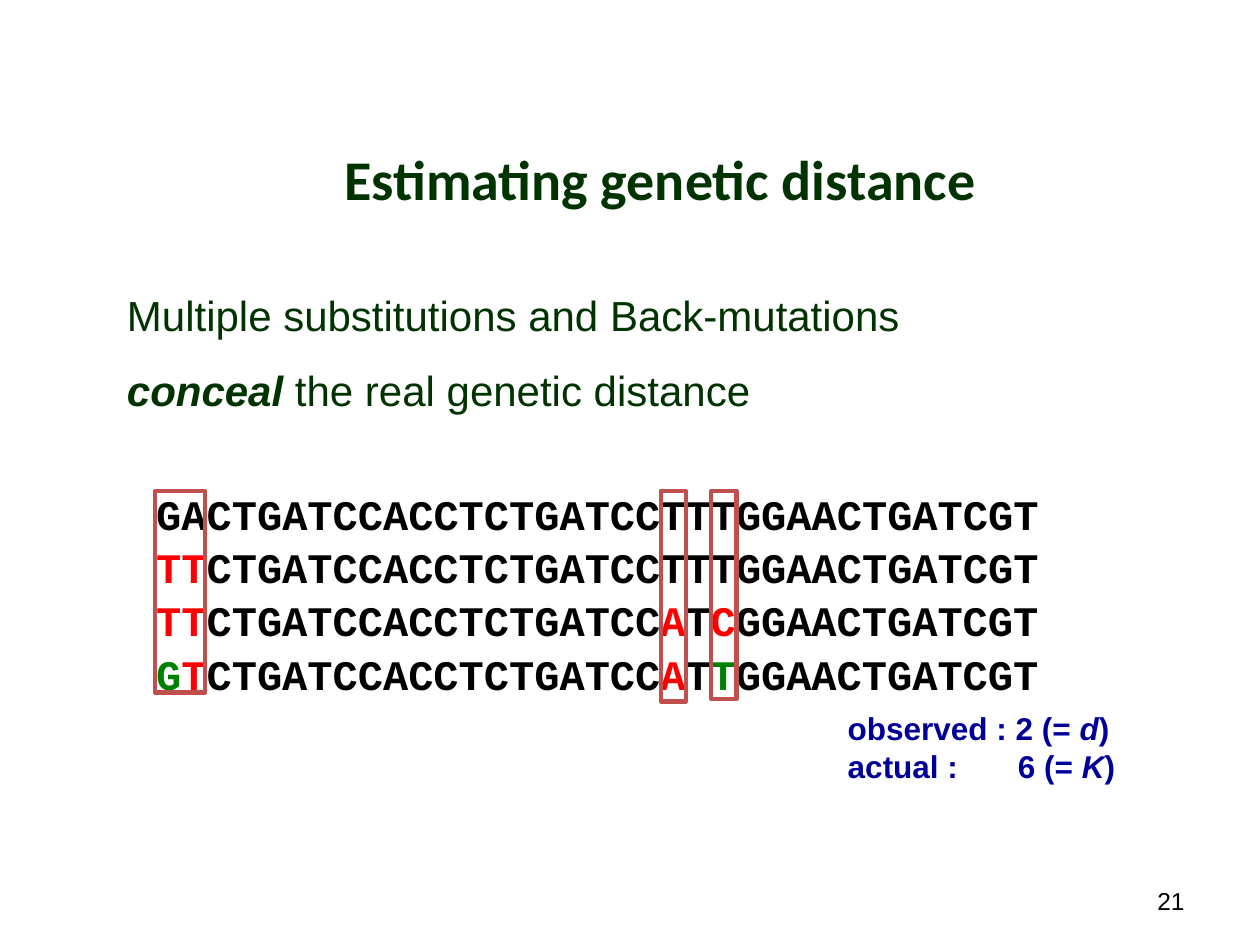
from itertools import groupby

from lxml import etree
from pptx import Presentation
from pptx import util as u
from pptx.dml.color import RGBColor
from pptx.enum import shapes, text
from pptx.oxml import ns

GREEN, NAVY, BLACK = "003300", "000099", "000000"
MUTATED, REVERTED, FRAME = "FF0000", "008000", "C0504D"

TITLE = "Estimating genetic distance"
STATEMENT = [
    [("Multiple substitutions and Back-mutations", "")],
    [("conceal", "bi"), (" the real genetic distance", "")],
]
ANCESTOR = "GACTGATCCACCTCTGATCCTTTGGAACTGATCGT"
GENERATIONS = [
    {},
    {0: ("T", MUTATED), 1: ("T", MUTATED)},
    {0: ("T", MUTATED), 1: ("T", MUTATED), 20: ("A", MUTATED), 22: ("C", MUTATED)},
    {0: ("G", REVERTED), 1: ("T", MUTATED), 20: ("A", MUTATED), 22: ("T", REVERTED)},
]
FRAMED_SITES = [(0, 2, 4.06), (20, 1, 4.24), (22, 1, 4.19)]
COUNTS = [
    [("observed : 2 (= ", "b"), ("d", "bi"), (")", "b")],
    [("actual :\t6 (= ", "b"), ("K", "bi"), (")", "b")],
]
PAGE = "21"

SEQUENCE_LEFT, SEQUENCE_TOP, SEQUENCE_STEP = 2.9, 9.73, 1.07
BASE_LEFT, BASE_WIDTH, FRAME_TOP = 3.12, 0.51, 9.9


def colour(code):
    return RGBColor.from_string(code)


def add_run(paragraph, words, size, font, code, style=""):
    run = paragraph.add_run()
    run.text = words
    run.font.size = u.Pt(size)
    run.font.name = font
    run.font.bold = "b" in style
    run.font.italic = "i" in style
    run.font.color.rgb = colour(code)


def add_box(slide, left, top, width, height, wrap=True, anchor=text.MSO_ANCHOR.TOP):
    frame = slide.shapes.add_textbox(
        u.Cm(left), u.Cm(top), u.Cm(width), u.Cm(height)).text_frame
    frame.word_wrap = wrap
    frame.vertical_anchor = anchor
    return frame


def add_title(slide):
    title = slide.shapes.title
    title.left, title.top = u.Cm(0.61), u.Cm(2.44)
    title.width, title.height = u.Cm(25.4), u.Cm(2.31)
    title.text_frame.vertical_anchor = text.MSO_ANCHOR.MIDDLE
    paragraph = title.text_frame.paragraphs[0]
    paragraph.alignment = text.PP_ALIGN.CENTER
    add_run(paragraph, TITLE, 32, "Calibri", GREEN, "b")


def add_statement(slide):
    paragraph = add_box(slide, 2.31, 5.2, 20.09, 4.2).paragraphs[0]
    paragraph.line_spacing = 1.5
    for number, line in enumerate(STATEMENT):
        if number:
            paragraph.add_line_break()
        for words, style in line:
            add_run(paragraph, words, 24, "Arial", GREEN, style)


def add_sequences(slide):
    for row, changes in enumerate(GENERATIONS):
        top = SEQUENCE_TOP + row * SEQUENCE_STEP
        paragraph = add_box(slide, SEQUENCE_LEFT, top, 18.59, 1.27).paragraphs[0]
        before = etree.SubElement(
            paragraph._p.get_or_add_pPr(), ns.qn("a:spcBef"))
        etree.SubElement(before, ns.qn("a:spcPct"), val="50000")
        bases = [changes.get(site, (base, BLACK))
                 for site, base in enumerate(ANCESTOR)]
        for code, group in groupby(bases, key=lambda base: base[1]):
            letters = "".join(letter for letter, _ in group)
            add_run(paragraph, letters, 24, "Courier New", code, "b")


def add_site_frames(slide):
    for site, count, height in FRAMED_SITES:
        frame = slide.shapes.add_shape(
            shapes.MSO_SHAPE.RECTANGLE,
            u.Cm(BASE_LEFT + site * BASE_WIDTH), u.Cm(FRAME_TOP),
            u.Cm(count * BASE_WIDTH), u.Cm(height))
        frame.shadow.inherit = False
        frame.fill.background()
        frame.line.color.rgb = colour(FRAME)
        frame.line.width = u.Pt(2.5)


def add_counts(slide):
    frame = add_box(slide, 16.84, 14.17, 5.89, 1.78, wrap=False)
    for number, line in enumerate(COUNTS):
        paragraph = frame.add_paragraph() if number else frame.paragraphs[0]
        tabs = etree.SubElement(paragraph._p.get_or_add_pPr(), ns.qn("a:tabLst"))
        etree.SubElement(tabs, ns.qn("a:tab"), pos=str(u.Cm(3.43)), algn="l")
        for words, style in line:
            add_run(paragraph, words, 18, "Arial", NAVY, style)


def add_page_number(slide):
    frame = add_box(slide, 18.21, 17.65, 5.92, 1.02, anchor=text.MSO_ANCHOR.MIDDLE)
    frame.paragraphs[0].alignment = text.PP_ALIGN.RIGHT
    add_run(frame.paragraphs[0], PAGE, 14, "Arial", BLACK)


def main():
    deck = Presentation()
    deck.slide_width, deck.slide_height = u.Cm(25.4), u.Cm(19.05)
    slide = deck.slides.add_slide(deck.slide_layouts[5])
    for add_part in (add_page_number, add_title, add_statement,
                     add_sequences, add_site_frames, add_counts):
        add_part(slide)
    deck.save("out.pptx")


if __name__ == "__main__":
    main()
